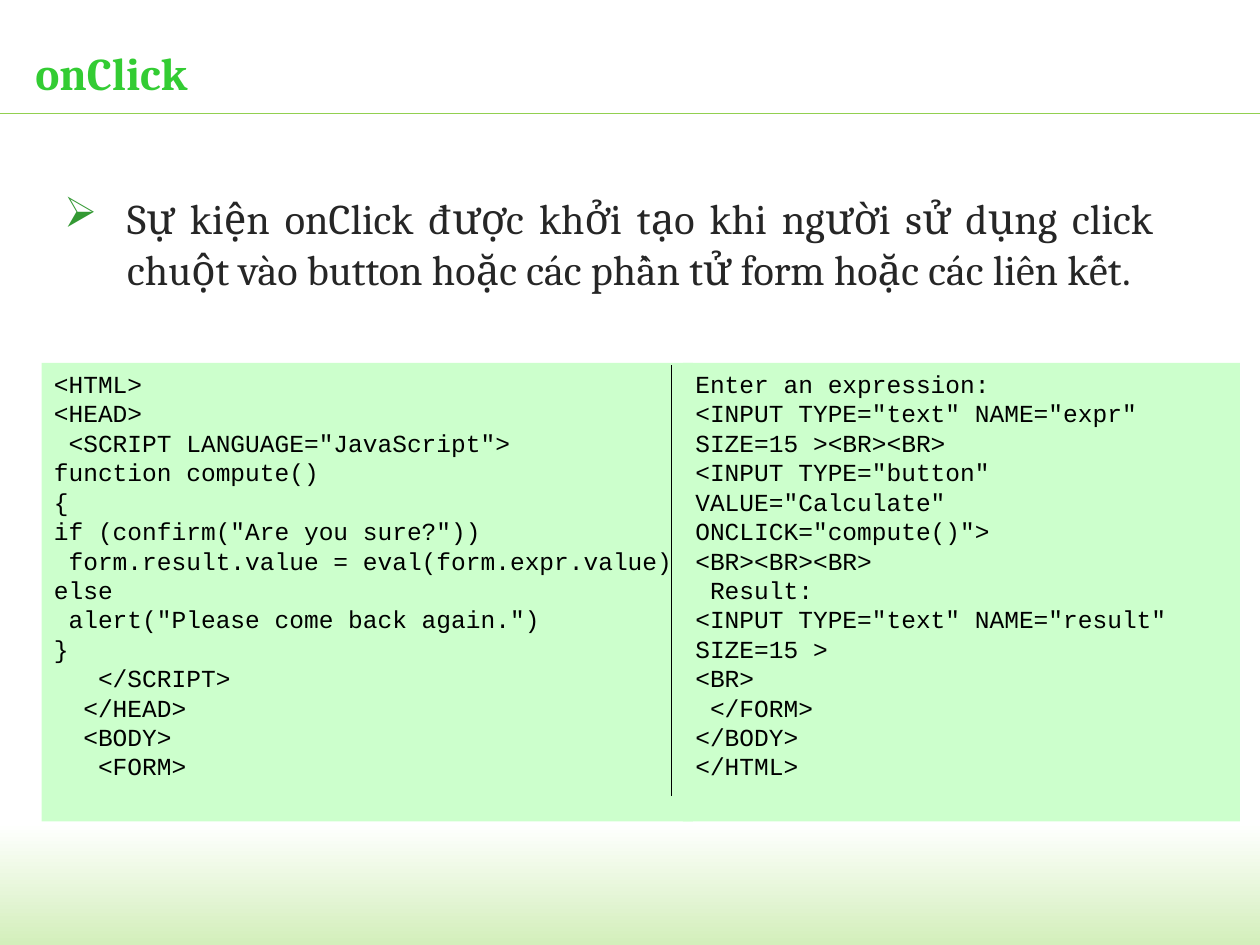
"""Build the onClick event slide with its two-column code sample."""
from dataclasses import dataclass

from lxml import etree
from pptx import Presentation
from pptx.dml.color import RGBColor
from pptx.enum.shapes import MSO_CONNECTOR, MSO_SHAPE
from pptx.enum.text import MSO_ANCHOR, MSO_AUTO_SIZE, PP_ALIGN
from pptx.oxml.ns import qn
from pptx.util import Inches, Pt

RECTANGLE = MSO_SHAPE.RECTANGLE
STRAIGHT = MSO_CONNECTOR.STRAIGHT
TOP, MIDDLE = MSO_ANCHOR.TOP, MSO_ANCHOR.MIDDLE
LEFT, JUSTIFY = PP_ALIGN.LEFT, PP_ALIGN.JUSTIFY
NO_AUTOFIT = MSO_AUTO_SIZE.NONE
TITLE_ONLY = 5


@dataclass(frozen=True)
class Theme:
    """Colours, fonts and type sizes of the slide."""
    title: str = "33CC33"
    body: str = "262626"
    bullet: str = "339933"
    code: str = "000000"
    panel: str = "CCFFCC"
    rule: str = "92D050"
    fade: tuple = ("FFFFFF", "D3EFBB")
    text_font: str = "Cambria"
    code_font: str = "Courier New"
    title_size: float = 26
    body_size: float = 24.1
    code_size: float = 14
    line_width: float = 0.75


THEME = Theme()

EXPLANATION = (
    "Sự kiện onClick được khởi tạo khi người sử dụng click chuột vào "
    "button hoặc các phần tử form hoặc các liên kết."
)
SCRIPT_CODE = """<HTML>
<HEAD>
 <SCRIPT LANGUAGE="JavaScript">
function compute()
{
if (confirm("Are you sure?"))
 form.result.value = eval(form.expr.value)
else
 alert("Please come back again.")
}
   </SCRIPT>
  </HEAD>
  <BODY>
   <FORM>"""
FORM_CODE = """Enter an expression:
<INPUT TYPE="text" NAME="expr" SIZE=15 ><BR><BR>
<INPUT TYPE="button" VALUE="Calculate" ONCLICK="compute()">
<BR><BR><BR>
 Result:
<INPUT TYPE="text" NAME="result" SIZE=15 >
<BR>
 </FORM>
</BODY>
</HTML>"""


def set_all(target, values):
    """Set every attribute named in values on target."""
    for name, value in values.items():
        setattr(target, name, value)


def format_frame(frame, anchor=TOP, flush=False):
    """Set wrapping and anchor, and remove the margins when flush."""
    set_all(frame, {"word_wrap": True, "auto_size": NO_AUTOFIT,
                    "vertical_anchor": anchor})
    if flush:
        sides = ("left", "top", "right", "bottom")
        set_all(frame, {f"margin_{side}": 0 for side in sides})


def format_paragraph(paragraph, face, size, color, bold=False, align=LEFT):
    """Set the alignment and font of a paragraph."""
    paragraph.alignment = align
    set_all(paragraph.font, {"name": face, "size": Pt(size), "bold": bold})
    paragraph.font.color.rgb = RGBColor.from_string(color)


def add_bullet(paragraph, mark, color, indent):
    """Give a paragraph a coloured bullet with a hanging indent."""
    properties = paragraph._p.get_or_add_pPr()
    properties.set("marL", str(indent))
    properties.set("indent", str(-indent))
    bullet_color = etree.SubElement(properties, qn("a:buClr"))
    etree.SubElement(bullet_color, qn("a:srgbClr"), val=color)
    etree.SubElement(properties, qn("a:buChar"), char=mark)


def add_panel(slide, left, top, width, height):
    """Add a plain rectangle without outline or shadow."""
    panel = slide.shapes.add_shape(
        RECTANGLE, Inches(left), Inches(top), Inches(width), Inches(height))
    panel.shadow.inherit = False
    panel.line.fill.background()
    return panel


def add_footer_fade(slide):
    """Add the band that fades downward at the foot of the slide."""
    band = add_panel(slide, -0.03, 6.53, 10.03, 0.97)
    band.fill.gradient()
    band.fill.gradient_angle = 270
    for stop, color in zip(band.fill.gradient_stops, THEME.fade):
        stop.color.rgb = RGBColor.from_string(color)


def add_line(slide, start, end, color):
    """Add a thin straight line between two points."""
    line = slide.shapes.add_connector(STRAIGHT, *map(Inches, start + end))
    line.line.color.rgb = RGBColor.from_string(color)
    line.line.width = Pt(THEME.line_width)
    etree.SubElement(line._element.spPr, qn("a:effectLst"))


def add_title(slide, text):
    """Place and format the title placeholder."""
    title = slide.shapes.title
    set_all(title, {"left": Inches(0.28), "top": Inches(0.25),
                    "width": Inches(9.37), "height": Inches(0.64)})
    title.text_frame.text = text
    format_frame(title.text_frame, MIDDLE, flush=True)
    format_paragraph(title.text_frame.paragraphs[0], THEME.text_font,
                     THEME.title_size, THEME.title, bold=True)


def add_explanation(slide, text):
    """Add the bulleted, justified explanation."""
    box = slide.shapes.add_textbox(
        Inches(0.51), Inches(1.53), Inches(8.65), Inches(1.17))
    format_frame(box.text_frame, flush=True)
    paragraph = box.text_frame.paragraphs[0]
    paragraph.text = text
    add_bullet(paragraph, "➢", THEME.bullet, Inches(0.5))
    format_paragraph(paragraph, THEME.text_font, THEME.body_size,
                     THEME.body, align=JUSTIFY)


def add_code(slide, left, width, code):
    """Add a code panel with one paragraph for each line of code."""
    panel = add_panel(slide, left, 2.88, width, 3.64)
    panel.fill.solid()
    panel.fill.fore_color.rgb = RGBColor.from_string(THEME.panel)
    panel.text_frame.text = code
    format_frame(panel.text_frame)
    for paragraph in panel.text_frame.paragraphs:
        format_paragraph(paragraph, THEME.code_font, THEME.code_size,
                         THEME.code)


def main():
    """Build and save the slide."""
    deck = Presentation()
    set_all(deck, {"slide_width": Inches(10), "slide_height": Inches(7.5)})
    slide = deck.slides.add_slide(deck.slide_layouts[TITLE_ONLY])
    add_footer_fade(slide)
    add_line(slide, (0, 0.9), (10, 0.9), THEME.rule)
    add_title(slide, "onClick")
    add_explanation(slide, EXPLANATION)
    add_code(slide, 0.33, 5.17, SCRIPT_CODE)
    add_code(slide, 5.42, 4.42, FORM_CODE)
    add_line(slide, (5.33, 2.9), (5.33, 6.32), THEME.code)
    deck.save("out.pptx")


if __name__ == "__main__":
    main()
